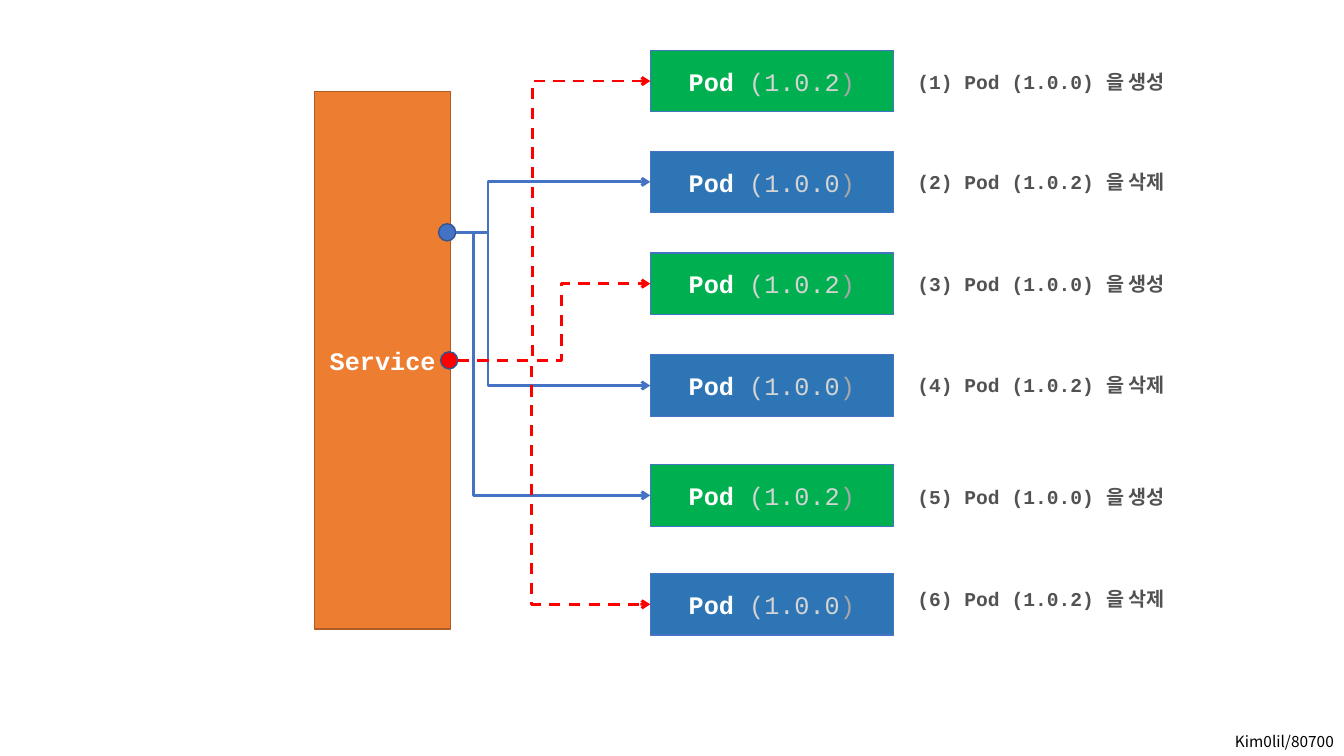
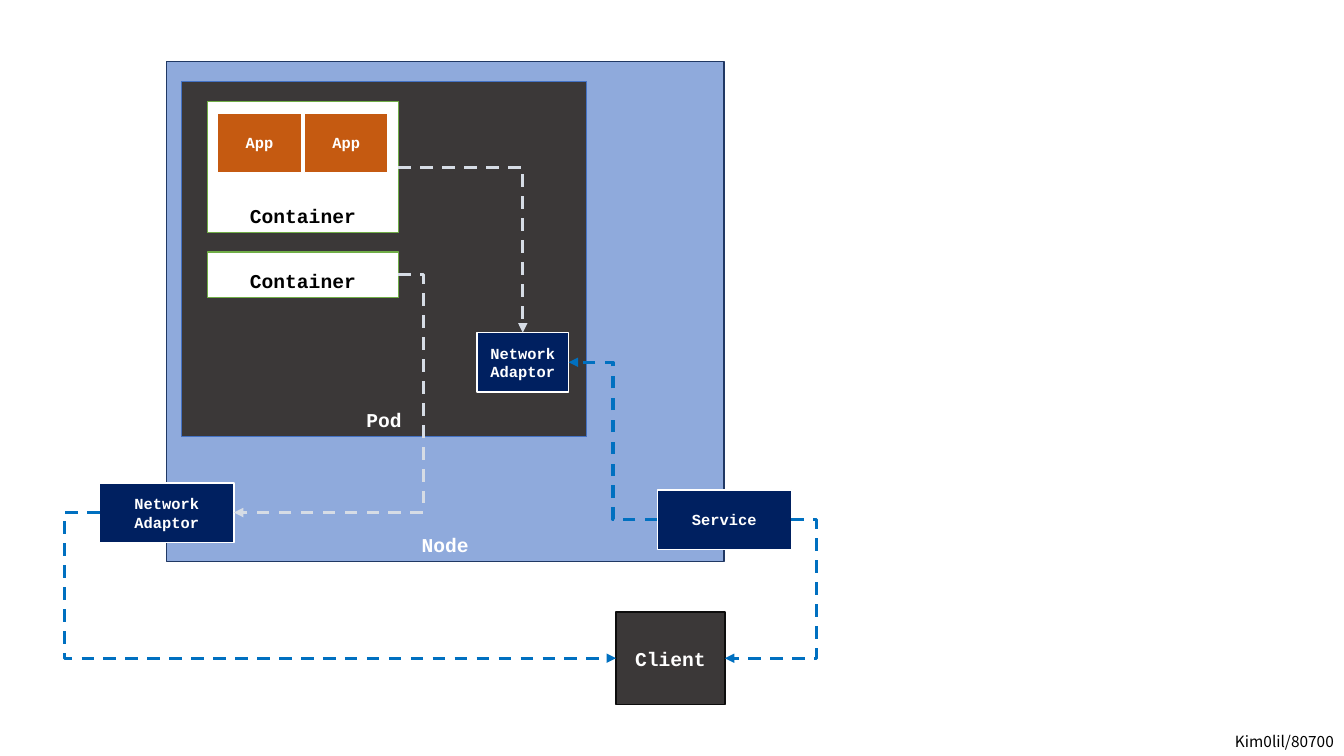
from lxml.etree import SubElement
from pptx import Presentation
from pptx.dml.color import RGBColor
from pptx.enum.dml import MSO_LINE
from pptx.enum.shapes import MSO_CONNECTOR, MSO_SHAPE
from pptx.enum.text import MSO_ANCHOR, MSO_AUTO_SIZE, PP_ALIGN
from pptx.oxml.ns import qn
from pptx.util import Inches, Pt

COLORS = {
    "white": "FFFFFF",
    "black": "000000",
    "label": "525252",
    "version": "D4D4D4",
    "bracket": "A6A6A6",
    "blue": "4472C4",
    "dot_edge": "325491",
    "red": "FF0000",
    "new_pod": "00B050",
    "old_pod": "2E75B6",
    "service": "ED7D31",
    "service_edge": "AF5C24",
    "node": "8FAADC",
    "node_edge": "203864",
    "charcoal": "3B3838",
    "client_edge": "0D0D0D",
    "container_edge": "70AD47",
    "app": "C55A11",
    "navy": "002060",
    "inner_flow": "D6DCE5",
    "outer_flow": "0070C0",
}
CODE_FONT = "Courier New"
KOREAN_FONT = "Noto Sans CJK KR"
TOP, LEFT, BOTTOM, RIGHT = 0, 1, 2, 3
ELLIPSE_RIGHT = 6


def color(name):
    """Return the named colour."""
    return RGBColor.from_string(COLORS[name])


def write(frame, spans, size=14, bold=True, font=CODE_FONT, align=PP_ALIGN.CENTER):
    """Fill a frame with one paragraph of (text, colour, bold) spans."""
    frame.word_wrap = True
    para = frame.paragraphs[0]
    para.alignment = align
    for text, tone, *weight in spans:
        span = para.add_run()
        span.text = text
        span.font.name = font
        span.font.size = Pt(size)
        span.font.bold = weight[0] if weight else bold
        span.font.color.rgb = color(tone)
        SubElement(span.font._element, qn("a:ea"), typeface=KOREAN_FONT)


def add_label(page, area, text, tone, **text_format):
    """Add a text box that grows with its text."""
    box = page.shapes.add_textbox(*map(Inches, area))
    write(box.text_frame, [(text, tone)], **text_format)
    box.text_frame.auto_size = MSO_AUTO_SIZE.SHAPE_TO_FIT_TEXT


def add_block(page, area, fill, edge, spans=(), kind=MSO_SHAPE.RECTANGLE,
              edge_width=1, anchor=MSO_ANCHOR.MIDDLE, **text_format):
    """Add a filled, outlined shape with optional text."""
    block = page.shapes.add_shape(kind, *map(Inches, area))
    block.shadow.inherit = False
    block.fill.solid()
    block.fill.fore_color.rgb = color(fill)
    block.line.color.rgb = color(edge)
    block.line.width = Pt(edge_width)
    block.text_frame.vertical_anchor = anchor
    write(block.text_frame, spans, **text_format)
    return block


def add_dot(page, left, top, fill):
    """Add a round port on the service."""
    return add_block(page, (left, top, 0.17, 0.17), fill, "dot_edge", kind=MSO_SHAPE.OVAL)


def add_flow(page, start, start_side, end, end_side, tone, turn=None,
             width=2.25, dashed=True, arrow="triangle"):
    """Join two shapes by an elbow arrow that turns at a given x, or once."""
    flow = page.shapes.add_connector(MSO_CONNECTOR.ELBOW, 0, 0, 0, 0)
    flow.begin_connect(start, start_side)
    flow.end_connect(end, end_side)
    flow.line.color.rgb = color(tone)
    flow.line.width = Pt(width)
    if dashed:
        flow.line.dash_style = MSO_LINE.DASH
    properties = flow.element.spPr
    SubElement(properties.find(qn("a:ln")), qn("a:tailEnd"), type=arrow)
    SubElement(properties, qn("a:effectLst"))
    geometry = properties.find(qn("a:prstGeom"))
    if turn is None:
        geometry.set("prst", "bentConnector2")
    else:
        share = (Inches(turn) - flow.begin_x) / (flow.end_x - flow.begin_x)
        SubElement(geometry.find(qn("a:avLst")), qn("a:gd"), name="adj1",
                   fmla=f"val {round(share * 100000)}")
    return flow


def add_page(deck):
    """Add a blank page with the shared footer."""
    page = deck.slides.add_slide(deck.slide_layouts[6])
    add_label(page, (11.36, 7.21, 1.97, 0.29), "Kim0lil/80700", "black",
              size=11, bold=False, font=KOREAN_FONT, align=PP_ALIGN.RIGHT)
    return page


def build_update_page(deck):
    """Show a service switching between pods of two versions."""
    page = add_page(deck)
    add_block(page, (3.12, 0.91, 1.35, 5.33), "service", "service_edge",
              [("Service", "white")], size=18)
    dots = {
        "blue": add_dot(page, 4.35, 2.22, "blue"),
        "red": add_dot(page, 4.37, 3.49, "red"),
    }
    rows = [
        (0.5, 0.64, "red", 5.28),
        (1.5, 1.64, "blue", 4.84),
        (2.51, 2.65, "red", 5.57),
        (3.52, 3.65, "blue", 4.84),
        (4.61, 4.76, "blue", 4.7),
        (5.69, 5.77, "red", 5.27),
    ]
    versions = [("1.0.2", "new_pod", "(1.0.0) 을 생성"), ("1.0.0", "old_pod", "(1.0.2) 을 삭제")]
    for index, (pod_top, label_top, tone, turn) in enumerate(rows):
        version, fill, action = versions[index % 2]
        spans = [("Pod ", "white"), (f"({version}", "version", False), (")", "bracket", False)]
        pod = add_block(page, (6.45, pod_top, 2.41, 0.61), fill, "blue", spans,
                        edge_width=0.75, size=18)
        add_label(page, (9, label_top, 2.91, 0.34), f"({index + 1}) Pod {action}", "label",
                  align=PP_ALIGN.LEFT)
        flow = add_flow(page, dots[tone], RIGHT, pod, LEFT, tone, turn,
                        width=2, dashed=tone == "red", arrow="arrow")
        flow.element.find(".//" + qn("a:stCxn")).set("idx", str(ELLIPSE_RIGHT))


def build_network_page(deck):
    """Show how a client reaches containers inside a node."""
    page = add_page(deck)

    def add_frame(area, fill, edge, text, tone="white"):
        """Add a block named along its bottom."""
        return add_block(page, area, fill, edge, [(text, tone)], anchor=MSO_ANCHOR.BOTTOM)

    def add_part(area, fill, text):
        """Add a small white-edged block."""
        return add_block(page, area, fill, "white", [(text, "white")], size=11)

    add_frame((1.65, 0.61, 5.53, 4.96), "node", "node_edge", "Node")
    add_frame((1.8, 0.81, 4.02, 3.52), "charcoal", "blue", "Pod")
    app_container, container = [
        add_frame((2.06, top, 1.89, height), "white", "container_edge", "Container", "black")
        for top, height in ((1.01, 1.3), (2.5, 0.45))
    ]
    for left in (2.16, 3.02):
        add_part((left, 1.12, 0.83, 0.59), "app", "App")
    pod_adaptor = add_part((4.73, 3.3, 0.91, 0.59), "navy", "Network Adaptor")
    node_adaptor = add_part((0.99, 4.79, 1.33, 0.59), "navy", "Network Adaptor")
    service = add_part((6.52, 4.86, 1.33, 0.59), "navy", "Service")
    client = add_block(page, (6.11, 6.07, 1.08, 0.92), "charcoal", "client_edge",
                       [("Client", "white")])
    add_flow(page, app_container, RIGHT, pod_adaptor, TOP, "inner_flow")
    add_flow(page, container, RIGHT, node_adaptor, RIGHT, "inner_flow", 4.2)
    add_flow(page, service, RIGHT, client, RIGHT, "outer_flow", 8.1)
    add_flow(page, service, LEFT, pod_adaptor, RIGHT, "outer_flow", 6.08)
    add_flow(page, node_adaptor, LEFT, client, LEFT, "outer_flow", 0.64)


def main():
    """Build and save the deck."""
    deck = Presentation()
    deck.slide_width, deck.slide_height = Inches(13.33), Inches(7.5)
    build_update_page(deck)
    build_network_page(deck)
    deck.save("out.pptx")


if __name__ == "__main__":
    main()
